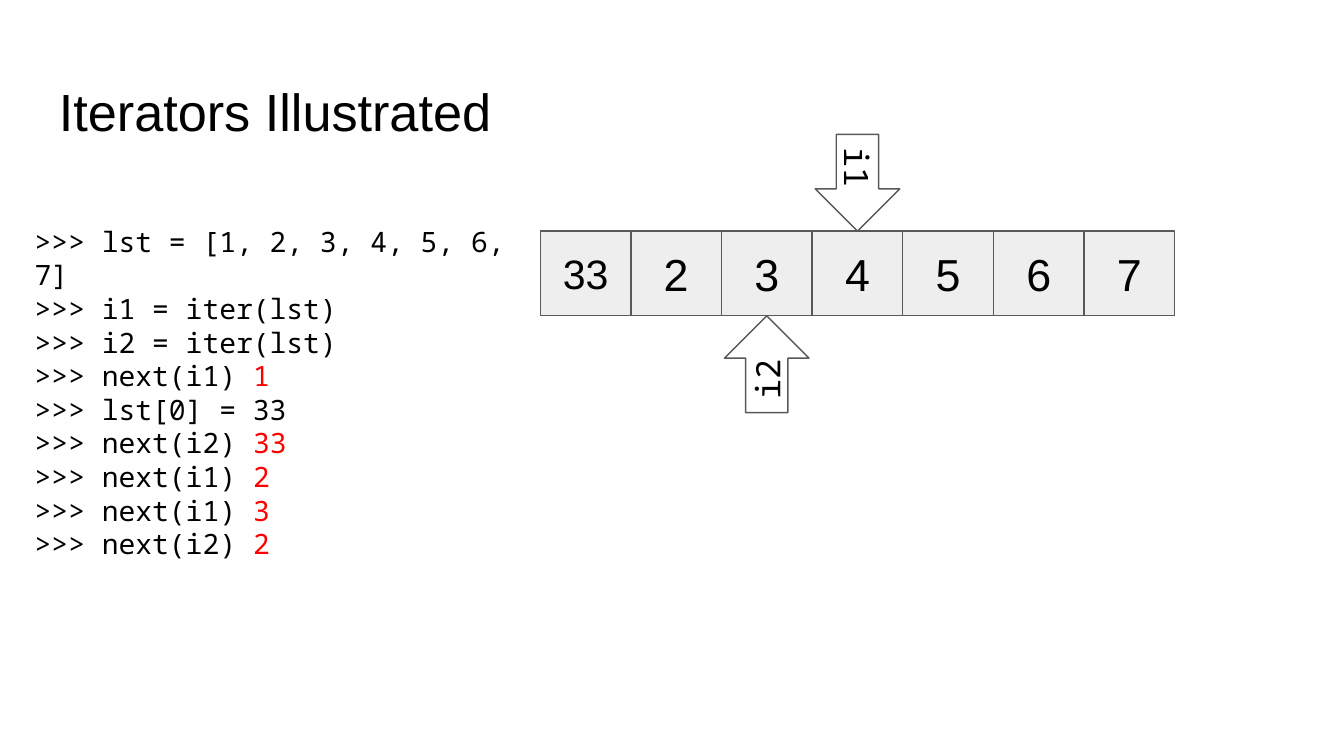
from pptx import Presentation
from pptx.dml.color import RGBColor
from pptx.enum.shapes import MSO_SHAPE
from pptx.enum.text import MSO_ANCHOR, PP_ALIGN
from pptx.util import Inches, Pt

RECTANGLE, RIGHT_ARROW = MSO_SHAPE.RECTANGLE, MSO_SHAPE.RIGHT_ARROW
LEFT, CENTER = PP_ALIGN.LEFT, PP_ALIGN.CENTER
TOP, MIDDLE = MSO_ANCHOR.TOP, MSO_ANCHOR.MIDDLE

THEME = {
    "text": RGBColor(0, 0, 0),
    "output": RGBColor(0xFF, 0, 0),
    "cell": RGBColor(0xEE, 0xEE, 0xEE),
    "line": RGBColor(0x59, 0x59, 0x59),
    "sans": "Arial",
    "mono": "Noto Sans Mono",
    "title_size": 28,
    "code_size": 15,
    "cell_size": 24,
    "wide_cell_size": 22,
    "arrow_size": 18,
}

deck = Presentation()
deck.slide_width, deck.slide_height = Inches(10), Inches(10 * 9 / 16)
page = deck.slides.add_slide(deck.slide_layouts[6])


def write(box, lines, font, size, align=LEFT, anchor=TOP):
    frame = box.text_frame
    frame.word_wrap = True
    frame.vertical_anchor = anchor
    frame.margin_left = frame.margin_right = Inches(0.1)
    frame.margin_top = frame.margin_bottom = Inches(0.1)
    for index, spans in enumerate(lines):
        para = frame.paragraphs[0] if index == 0 else frame.add_paragraph()
        para.alignment = align
        for text, color in zip(spans, ("text", "output")):
            span = para.add_run()
            span.text = text
            span.font.name = font
            span.font.size = Pt(size)
            span.font.color.rgb = THEME[color]


def add_outlined(kind, left, top, width, height):
    shape = page.shapes.add_shape(
        kind, Inches(left), Inches(top), Inches(width), Inches(height))
    shape.shadow.inherit = False
    shape.line.color.rgb = THEME["line"]
    shape.line.width = Pt(0.75)
    return shape


title = page.shapes.add_textbox(Inches(0.34), Inches(0.49), Inches(9.32), Inches(0.63))
write(title, [["Iterators Illustrated"]], THEME["sans"], THEME["title_size"])

values = ["33", "2", "3", "4", "5", "6", "7"]
list_left, list_top, list_width = 4.02, 1.72, 4.72
cell_width, cell_height = list_width / len(values), 0.63
for index, value in enumerate(values):
    cell = add_outlined(RECTANGLE, list_left + index * cell_width, list_top,
                        cell_width, cell_height)
    cell.fill.solid()
    cell.fill.fore_color.rgb = THEME["cell"]
    size = THEME["cell_size"] if len(value) == 1 else THEME["wide_cell_size"]
    write(cell, [[value]], THEME["sans"], size, CENTER, MIDDLE)

session = [
    [">>> lst = [1, 2, 3, 4, 5, 6, 7]"],
    [">>> i1 = iter(lst)"],
    [">>> i2 = iter(lst)"],
    [">>> next(i1) ", "1"],
    [">>> lst[0] = 33"],
    [">>> next(i2) ", "33"],
    [">>> next(i1) ", "2"],
    [">>> next(i1) ", "3"],
    [">>> next(i2) ", "2"],
]
code = page.shapes.add_textbox(Inches(0.16), Inches(1.57), Inches(3.85), Inches(3.87))
write(code, session, THEME["mono"], THEME["code_size"])

arrow_length, arrow_width = 0.72, 0.63
for name, position, center_y, rotation in [
    ("i1", 3, list_top - arrow_length / 2, 90),
    ("i2", 2, list_top + cell_height + arrow_length / 2, 270),
]:
    center_x = list_left + (position + 0.5) * cell_width
    arrow = add_outlined(RIGHT_ARROW, center_x - arrow_length / 2,
                         center_y - arrow_width / 2, arrow_length, arrow_width)
    arrow.rotation = rotation
    arrow.fill.background()
    write(arrow, [[name]], THEME["mono"], THEME["arrow_size"], LEFT, MIDDLE)

deck.save("out.pptx")
